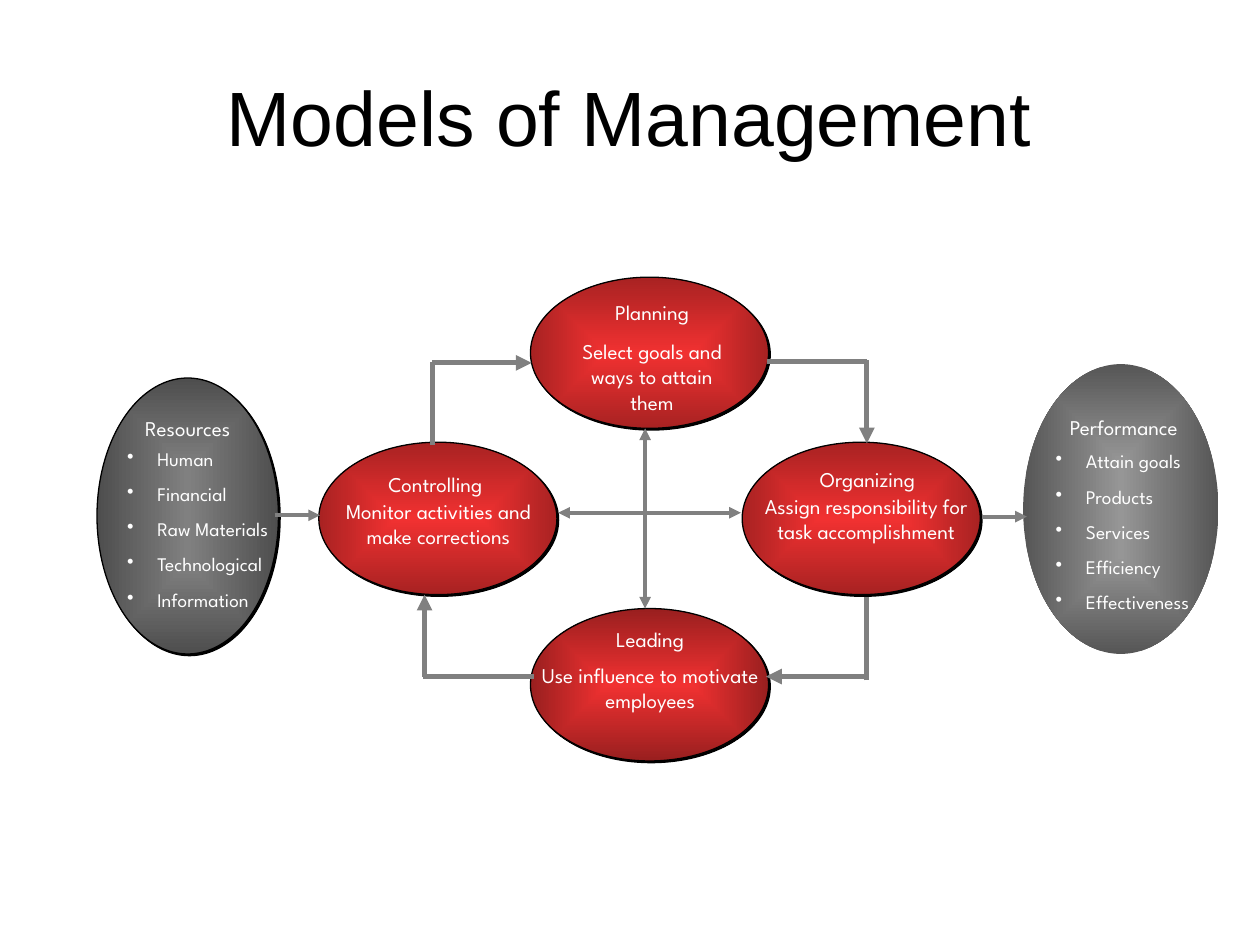
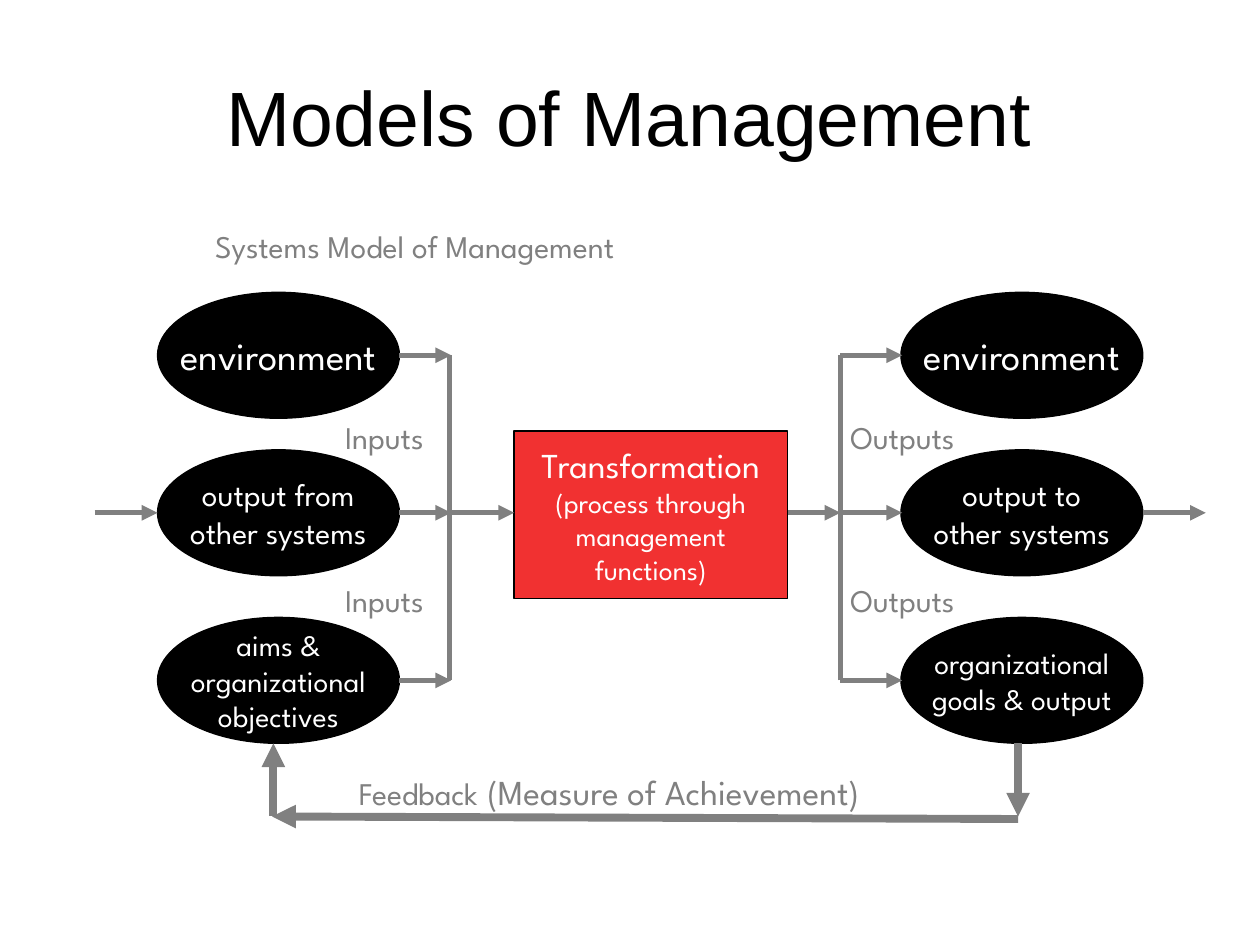
from lxml import etree
from pptx import Presentation
from pptx.dml.color import RGBColor
from pptx.enum.shapes import MSO_CONNECTOR, MSO_SHAPE
from pptx.enum.text import MSO_ANCHOR, PP_ALIGN
from pptx.oxml.ns import qn
from pptx.util import Pt

OVAL, RECT = MSO_SHAPE.OVAL, MSO_SHAPE.RECTANGLE
STRAIGHT = MSO_CONNECTOR.STRAIGHT
LEFT, CENTER = PP_ALIGN.LEFT, PP_ALIGN.CENTER
MIDDLE = MSO_ANCHOR.MIDDLE

BLACK = RGBColor(0x00, 0x00, 0x00)
WHITE = RGBColor(0xFF, 0xFF, 0xFF)
GRAY = RGBColor(0x80, 0x80, 0x80)
DARK = RGBColor(0x4E, 0x4E, 0x4E)
SILVER = RGBColor(0x96, 0x96, 0x96)
SLATE = RGBColor(0x56, 0x56, 0x56)
RED = RGBColor(0xF1, 0x31, 0x31)
BRICK = RGBColor(0xA8, 0x22, 0x22)
WINE = RGBColor(0x99, 0x1F, 0x1F)

FACE = "League Spartan"
PX = 9144  # 100 px to the inch

# Content shared by both slides
TITLE = "Models of Management"
TITLE_BOX = (50, 14, 899, 155)

# Slide 1: ovals as box, centre colour, edge colour, framed
OVALS = [
    ((77, 300, 144, 219), GRAY, DARK, True),
    ((812, 289, 155, 230), SILVER, SLATE, False),
    ((253, 351, 189, 121), RED, BRICK, True),
    ((421, 220, 189, 120), RED, BRICK, True),
    ((589, 351, 189, 121), RED, BRICK, True),
    ((421, 483, 189, 121), RED, WINE, True),
]
LABELS = [
    ("Resources", (95, 325, 108, 30)),
    ("Performance", (824, 324, 136, 30)),
    ("Planning", (468, 233, 99, 30)),
    ("Leading", (471, 492, 90, 30)),
    ("Controlling", (285, 369, 121, 30)),
    ("Organizing", (619, 365, 139, 30)),
    ("Use influence to motivate employees", (420, 521, 192, 50)),
    ("Select goals and ways to attain them", (441, 264, 153, 70)),
    ("Assign responsibility for task accomplishment",
     (594, 387, 187, 70)),
    ("Monitor activities and make corrections", (259, 391, 178, 70)),
]
LISTS = [
    (["Human", "Financial", "Raw Materials", "Technological",
      "Information"], (91, 350, 139, 140)),
    (["Attain goals", "Products", "Services", "Efficiency",
      "Effectiveness"], (828, 352, 135, 140)),
]
BACK_LINK = (688, 540, 688, 464)
# Links as start, end, width in points, arrowheads
LINKS = [
    ((218, 409, 254, 409), 2.25, "tail"),
    ((779, 410, 815, 410), 2.25, "tail"),
    ((337, 537, 337, 472), 3, "tail"),
    ((336, 537, 424, 537), 3, ""),
    ((609, 287, 688, 287), 3, ""),
    ((608, 537, 688, 537), 3, "head"),
    ((343, 288, 422, 288), 3, "tail"),
    ((343, 287, 343, 353), 3, ""),
    ((443, 407, 588, 407), 2.25, "head tail"),
    ((512, 340, 512, 483), 2.25, "head tail"),
    ((688, 286, 688, 352), 3, "tail"),
]

# Slide 2: rows as top, text size, left lines, right lines
ROWS = [
    (232, 22, ["environment"], ["environment"]),
    (357, 18, ["output from", "other systems"],
     ["output to", "other systems"]),
    (490, 17, ["aims &", "organizational", "objectives"],
     ["organizational", "goals & output"]),
]
OVAL_W, OVAL_H = 192, 100
IN_X, OUT_X = 125, 715
IN_BUS, OUT_BUS = 358, 667
CORE = (408, 342, 217, 133)
CORE_TEXT = [
    [("Transformation\n", 20), ("(process through\nmanagement", 16)],
    [("functions)", 16)],
]
CAPTION = ("Systems Model of Management", (161, 175, 391, 40))
FLOWS = [("Inputs", 264, 96), ("Outputs", 665, 116)]
FLOW_TOPS = (327, 456)
FEEDBACK = [[("Feedback", 18), (" ", 22), ("(Measure of Achievement)", 20)]]
FEED_BOX = (275, 604, 497, 47)
FEED_LINKS = [
    ((808, 650, 216, 648), "tail"),
    ((217, 590, 217, 648), "head"),
    ((808, 590, 808, 648), "tail"),
]


def emu(box):
    return [n * PX for n in box]


def style(font, size, color, face=FACE):
    for key, val in {"name": face, "size": Pt(size)}.items():
        setattr(font, key, val)
    font.color.rgb = color


def plain(lines, size):
    return [[(line, size)] for line in lines]


def write(frame, paras, color, align):
    """Fill a frame with paragraphs, each a list of (text, size)."""
    for i, runs in enumerate(paras):
        para = frame.paragraphs[0] if i == 0 else frame.add_paragraph()
        para.alignment = align
        for text, size in runs:
            for j, part in enumerate(text.split("\n")):
                if j:
                    para.add_line_break()
                if part:
                    run = para.add_run()
                    run.text = part
                    style(run.font, size, color)


def add_text(slide, box, paras, color, align):
    frame = slide.shapes.add_textbox(*emu(box)).text_frame
    frame.word_wrap = True
    write(frame, paras, color, align)
    return frame


def add_list(slide, items, box):
    frame = add_text(slide, box, plain(items, 11), WHITE, LEFT)
    for i, para in enumerate(frame.paragraphs):
        props = para._p.get_or_add_pPr()
        props.set("marL", str(24 * PX))
        props.set("indent", str(-24 * PX))
        etree.SubElement(props, qn("a:buChar"), char="•")
        if i:
            para.space_before = Pt(6.9)


def add_shape(slide, kind, box, fill, framed=True):
    shape = slide.shapes.add_shape(kind, *emu(box))
    shape.shadow.inherit = False
    if fill is not None:
        shape.fill.solid()
        shape.fill.fore_color.rgb = fill
    if framed:
        shape.line.color.rgb = BLACK
        shape.line.width = Pt(0.75)
    else:
        shape.line.fill.background()
    return shape


def add_node(slide, kind, box, fill, paras):
    frame = add_shape(slide, kind, box, fill).text_frame
    frame.word_wrap = False
    frame.vertical_anchor = MIDDLE
    write(frame, paras, WHITE, CENTER)


def add_glow(slide, box, inner, outer, framed):
    """Oval shaded from its centre, with a hard shadow if framed."""
    shape = add_shape(slide, OVAL, box, None, framed)
    shape.fill.gradient()
    for stop, color in zip(shape.fill.gradient_stops, (inner, outer)):
        stop.color.rgb = color
    props = shape._element.spPr
    grad = props.find(qn("a:gradFill"))
    grad.remove(grad.find(qn("a:lin")))
    way = etree.SubElement(grad, qn("a:path"), path="rect")
    etree.SubElement(way, qn("a:fillToRect"),
                     {side: "50000" for side in "ltrb"})
    if framed:
        shade = etree.SubElement(
            props.find(qn("a:effectLst")), qn("a:outerShdw"),
            dist="17780", dir="2700000", algn="ctr", rotWithShape="0")
        etree.SubElement(shade, qn("a:srgbClr"), val=str(BLACK))


def add_link(slide, ends, width, heads=""):
    link = slide.shapes.add_connector(STRAIGHT, *emu(ends))
    link.line.color.rgb = GRAY
    link.line.width = Pt(width)
    props = link._element.spPr
    for end in heads.split():
        etree.SubElement(props.find(qn("a:ln")), qn(f"a:{end}End"),
                         type="triangle")
    etree.SubElement(props, qn("a:effectLst"))


def add_slide(deck):
    slide = deck.slides.add_slide(deck.slide_layouts[5])
    title = slide.shapes.title
    spots = ("left", "top", "width", "height")
    for key, val in zip(spots, emu(TITLE_BOX)):
        setattr(title, key, val)
    title.text_frame.text = TITLE
    title.text_frame.vertical_anchor = MIDDLE
    para = title.text_frame.paragraphs[0]
    para.alignment = CENTER
    style(para.runs[0].font, 44, BLACK, "Arial")
    return slide


def draw_cycle(slide):
    add_link(slide, BACK_LINK, 3)
    for oval in OVALS:
        add_glow(slide, *oval)
    for link in LINKS:
        add_link(slide, *link)
    for text, box in LABELS:
        add_text(slide, box, plain([text], 12), WHITE, CENTER)
    for items, box in LISTS:
        add_list(slide, items, box)


def draw_system(slide):
    add_node(slide, RECT, CORE, RED, CORE_TEXT)
    text, box = CAPTION
    add_text(slide, box, plain([text], 18), GRAY, LEFT)

    # Ovals with a branch to the bus on each side
    mids = [row[0] + OVAL_H // 2 for row in ROWS]
    for (top, size, *sides), mid in zip(ROWS, mids):
        for left, lines in zip((IN_X, OUT_X), sides):
            add_node(slide, OVAL, (left, top, OVAL_W, OVAL_H), BLACK,
                     plain(lines, size))
        add_link(slide, (IN_X + OVAL_W, mid, IN_BUS, mid), 3, "tail")
        add_link(slide, (OUT_BUS, mid, OUT_X + 1, mid), 3, "tail")
    for bus in (IN_BUS - 1, OUT_BUS):
        add_link(slide, (bus, mids[-1], bus, mids[0]), 3)

    # Main flow through the middle row
    mid = mids[1]
    edge = OUT_X + OVAL_W
    for start, end in [(IN_X - 50, IN_X), (IN_BUS, CORE[0]),
                       (CORE[0] + CORE[2], OUT_BUS), (edge, edge + 50)]:
        add_link(slide, (start, mid, end, mid), 3, "tail")
    for text, left, width in FLOWS:
        for top in FLOW_TOPS:
            add_text(slide, (left, top, width, 40), plain([text], 18),
                     GRAY, LEFT)

    # Feedback loop
    for ends, heads in FEED_LINKS:
        add_link(slide, ends, 4.5, heads)
    add_text(slide, FEED_BOX, FEEDBACK, GRAY, LEFT)


def main():
    deck = Presentation()
    deck.slide_width, deck.slide_height = emu((1000, 750))
    for draw in (draw_cycle, draw_system):
        draw(add_slide(deck))
    deck.save("out.pptx")


if __name__ == "__main__":
    main()
